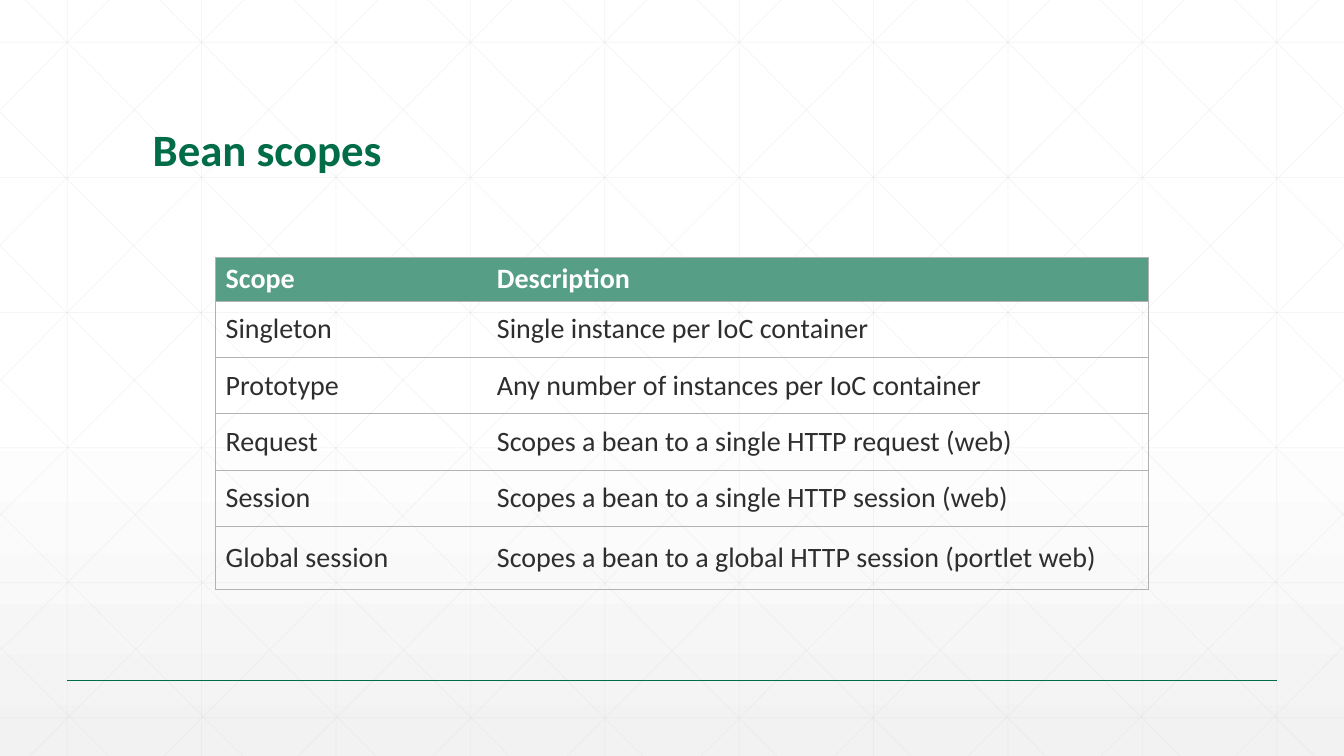
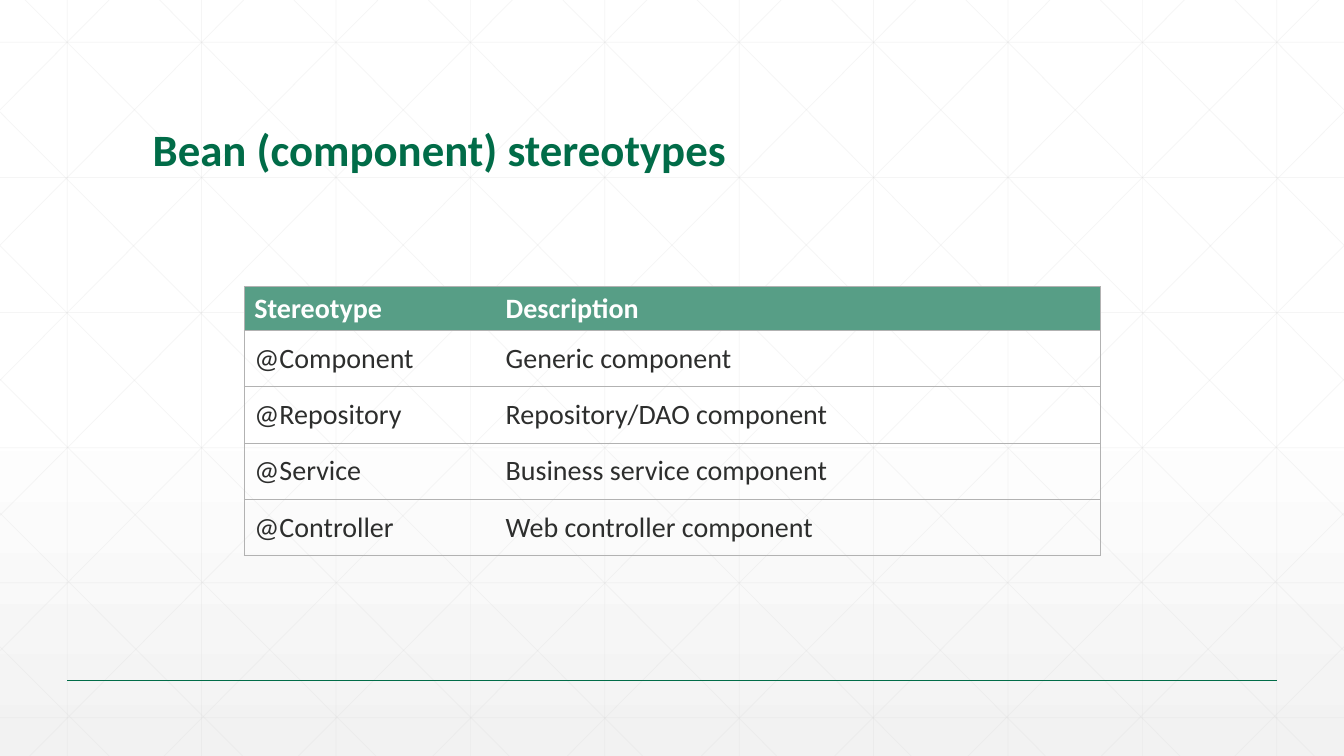
from pptx import Presentation
from pptx.dml.color import RGBColor
from pptx.enum.shapes import MSO_CONNECTOR as Connector
from pptx.enum.text import MSO_ANCHOR as Anchor
from pptx.oxml import parse_xml
from pptx.oxml.ns import nsdecls, qn
from pptx.util import Pt

WHITE = RGBColor(0xFF, 0xFF, 0xFF)
MIST = RGBColor(0xF2, 0xF2, 0xF2)
GRID = RGBColor(0xD9, 0xD9, 0xD9)
BORDER = RGBColor(0xB2, 0xB2, 0xB2)
GREEN = RGBColor(0x01, 0x6C, 0x48)
SAGE = RGBColor(0x57, 0x9E, 0x86)
INK = RGBColor(0x2D, 0x2E, 0x2D)

WIDTH, HEIGHT = 960, 540
SLOPE = 1.006
PLAIN_TABLE = "{2D5ABB26-0587-4C30-8999-92F81FD0307C}"
TITLE = {"name": "Calibri", "size": Pt(32), "bold": True}
HEADER = {"name": "Calibri", "size": Pt(20), "bold": True}
BODY = {"name": "Calibri", "size": Pt(20), "bold": False}

SLIDES = [
    {
        "title": "Bean scopes",
        "corner": (154, 183.75),
        "columns": (193.75, 472.5),
        "heights": (26, 40.25, 40.25, 40.25, 40.25, 45),
        "rows": [
            ("Scope", "Description"),
            ("Singleton", "Single instance per IoC container"),
            ("Prototype", "Any number of instances per IoC container"),
            ("Request", "Scopes a bean to a single HTTP request (web)"),
            ("Session", "Scopes a bean to a single HTTP session (web)"),
            ("Global session", "Scopes a bean to a global HTTP session (portlet web)"),
        ],
    },
    {
        "title": "Bean (component) stereotypes",
        "corner": (174.5, 204.75),
        "columns": (179.5, 432),
        "heights": (26, 40.25, 40.25, 40.25, 40.25),
        "rows": [
            ("Stereotype", "Description"),
            ("@Component", "Generic component"),
            ("@Repository", "Repository/DAO component"),
            ("@Service", "Business service component"),
            ("@Controller", "Web controller component"),
        ],
    },
]


def write(frame, text, color, style):
    """Put one styled span in a text frame and return its paragraph."""
    para = frame.paragraphs[0]
    span = para.add_run()
    span.text = text
    for name, value in style.items():
        setattr(span.font, name, value)
    span.font.color.rgb = color
    return para


def add_line(page, points, color, weight, opacity=100):
    """Draw a straight line without shadow."""
    line = page.shapes.add_connector(Connector.STRAIGHT, *(Pt(p) for p in points))
    line.line.color.rgb = color
    line.line.width = Pt(weight)
    if opacity < 100:
        tint = next(line.element.iter(qn("a:srgbClr")))
        tint.append(parse_xml(f'<a:alpha {nsdecls("a")} val="{opacity * 1000}"/>'))
    line.element.spPr.append(parse_xml(f'<a:effectLst {nsdecls("a")}/>'))
    return line


def lattice():
    """List the end points of the background lines."""
    upright = [(48 + 96 * k, 0, 48 + 96 * k, HEIGHT) for k in range(10)]
    level = [(0, 30.25 + 96.5 * k, WIDTH, 30.25 + 96.5 * k) for k in range(6)]
    falling = []
    for start in range(18, WIDTH, 96):
        drop = min(HEIGHT, (WIDTH - start) * SLOPE)
        falling.append((start, 0, start + drop / SLOPE, drop))
    falling += [(0, 80 + 95.5 * k, 459 - 95.25 * k, HEIGHT) for k in range(5)]
    rising = [(WIDTH - x1, y1, WIDTH - x2, y2) for x1, y1, x2, y2 in falling]
    return upright + level + falling + rising


def set_background(layout):
    """Give the layout a gradient from white to mist."""
    layout.element.cSld.insert(0, parse_xml(
        f'<p:bg {nsdecls("p", "a")}><p:bgPr><a:gradFill rotWithShape="1"><a:gsLst>'
        f'<a:gs pos="0"><a:srgbClr val="{WHITE}"/></a:gs>'
        f'<a:gs pos="53000"><a:srgbClr val="{WHITE}"/></a:gs>'
        f'<a:gs pos="100000"><a:srgbClr val="{MIST}"><a:alpha val="65000"/></a:srgbClr></a:gs>'
        '</a:gsLst><a:lin ang="5400000" scaled="0"/></a:gradFill>'
        '<a:effectLst/></p:bgPr></p:bg>'))


def dress_layout(layout, page):
    """Draw the shared lines on a page and move them to its layout."""
    set_background(layout)
    for holder in list(layout.placeholders):
        holder.element.getparent().remove(holder.element)
    lines = [add_line(page, points, GRID, 0.5, 25) for points in lattice()]
    lines.append(add_line(page, (48, 486, 912, 486), GREEN, 1))
    for line in lines:
        layout.shapes.element.append(line.element)


def add_title(page, text):
    """Add the slide title, resting on the bottom of its box."""
    box = page.shapes.add_textbox(Pt(102), Pt(39.5), Pt(756), Pt(90))
    box.text_frame.word_wrap = True
    box.text_frame.vertical_anchor = Anchor.BOTTOM
    write(box.text_frame, text, GREEN, TITLE).line_spacing = 0.9


def set_borders(cell, sides):
    """Draw thin lines on the named sides of a cell."""
    properties = cell._tc.get_or_add_tcPr()
    for index, side in enumerate(sides):
        properties.insert(index, parse_xml(
            f'<a:ln{side} {nsdecls("a")} w="{Pt(0.5)}"><a:solidFill>'
            f'<a:srgbClr val="{BORDER}"/></a:solidFill></a:ln{side}>'))


def add_grid(page, corner, columns, heights, rows):
    """Add a table with a filled header and ruled rows."""
    frame = page.shapes.add_table(
        len(rows), len(columns), Pt(corner[0]), Pt(corner[1]),
        Pt(sum(columns)), Pt(sum(heights)))
    next(frame.element.iter(qn("a:tableStyleId"))).text = PLAIN_TABLE
    table = frame.table
    table.horz_banding = False
    for column, width in zip(table.columns, columns):
        column.width = Pt(width)
    for r, (row, height, texts) in enumerate(zip(table.rows, heights, rows)):
        row.height = Pt(height)
        for cell, text, sides in zip(row.cells, texts, ("LTB", "RTB")):
            if r == 0:
                cell.fill.solid()
                cell.fill.fore_color.rgb = SAGE
                write(cell.text_frame, text, WHITE, HEADER)
            else:
                cell.fill.background()
                cell.vertical_anchor = Anchor.MIDDLE
                write(cell.text_frame, text, INK, BODY)
            set_borders(cell, sides)


def main():
    """Build the deck and save it."""
    deck = Presentation()
    deck.slide_width, deck.slide_height = Pt(WIDTH), Pt(HEIGHT)
    layout = deck.slide_layouts[6]
    pages = [deck.slides.add_slide(layout) for _ in SLIDES]
    dress_layout(layout, pages[0])
    for page, content in zip(pages, SLIDES):
        add_title(page, content["title"])
        add_grid(page, content["corner"], content["columns"],
                 content["heights"], content["rows"])
    deck.save("out.pptx")


main()
